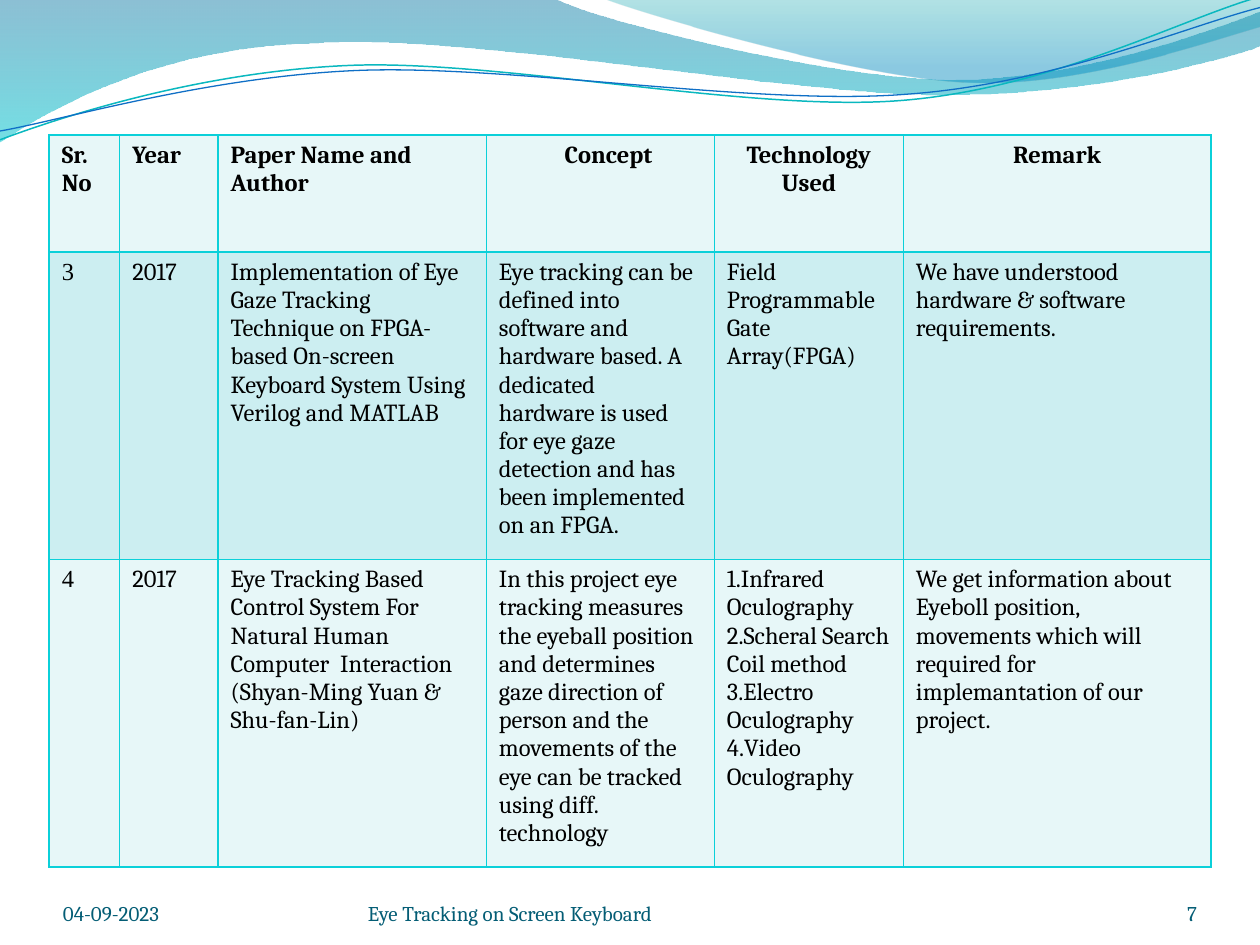
from lxml import etree
from pptx import Presentation
from pptx.dml.color import RGBColor
from pptx.enum.text import MSO_ANCHOR as Anchor, PP_ALIGN as Align
from pptx.oxml.ns import qn
from pptx.util import Inches, Pt


def rgb(hex_code):
    return RGBColor.from_string(hex_code)


def draw_outline(slide, start, segments, closed):
    """Draw line segments (2 numbers) and cubic curves (6 numbers), in inches."""
    builder = slide.shapes.build_freeform(Inches(start[0]), Inches(start[1]))
    ends = [(Inches(segment[-2]), Inches(segment[-1])) for segment in segments]
    builder.add_line_segments(ends, close=closed)
    outline = builder.convert_to_shape()
    outline.shadow.inherit = False
    # Bend the straight segments that have control points
    straight_parts = list(outline._element.spPr.iter(qn("a:lnTo")))
    for part, segment in zip(straight_parts, segments):
        if len(segment) == 6:
            curve = etree.Element(qn("a:cubicBezTo"))
            for x, y in zip(segment[::2], segment[1::2]):
                etree.SubElement(curve, qn("a:pt"), x=str(Inches(x) - outline.left),
                                 y=str(Inches(y) - outline.top))
            part.getparent().replace(part, curve)
    return outline


prs = Presentation()
prs.slide_width, prs.slide_height = Inches(10), Inches(7.5)
slide = prs.slides.add_slide(prs.slide_layouts[6])

# Translucent waves: start, segments, gradient stops (position, colour, opacity %)
waves = [
    ((0, 0),
     [(4.4, -0.01), (4.76, 0.17, 6.64, 0.63, 7.58, 0.63),
      (8.53, 0.63, 9.58, 0.26, 10, 0.09), (10.01, 0.36),
      (9.83, 0.44, 8.7, 0.76, 7.46, 0.75), (6.22, 0.75, 3.82, 0.28, 2.57, 0.34),
      (1.29, 0.36, 0.46, 0.83, -0.01, 1.13)],
     [(0, "0074A1", 45), (1, "00C6CF", 55)]),
    ((4.79, -0.01),
     [(5.09, 0.11, 6.82, 0.62, 7.69, 0.65), (8.56, 0.69, 9.61, 0.32, 10, 0.21),
      (10, 0)],
     [(0, "00A1A9", 30), (0.8, "008BBF", 45)]),
]
for start, segments, stops in waves:
    wave = draw_outline(slide, start, segments, True)
    wave.line.fill.background()
    wave.fill.gradient()
    wave.fill.gradient_angle = 270
    for stop, (position, color, _) in zip(wave.fill.gradient_stops, stops):
        stop.position = position
        stop.color.rgb = rgb(color)
    for color_node, (_, _, opacity) in zip(wave._element.spPr.iter(qn("a:srgbClr")), stops):
        etree.SubElement(color_node, qn("a:alpha")).set("val", str(opacity * 1000))

# Thin wave lines
wave_lines = [
    ((0, 1.11),
     [(0.48, 0.93, 1.58, 0.57, 2.77, 0.52), (3.95, 0.47, 5.93, 0.89, 7.13, 0.8),
      (8.33, 0.71, 9.38, 0.15, 9.98, -0.02)], "0AB8BF", 0.85),
    ((0, 1.04),
     [(0.47, 0.96, 1.64, 0.61, 2.83, 0.56), (4.03, 0.51, 5.97, 0.84, 7.17, 0.75),
      (8.36, 0.67, 9.41, 0.21, 10, 0.06)], "0F6FC6", 0.75),
]
for start, segments, color, weight in wave_lines:
    wave_line = draw_outline(slide, start, segments, False)
    wave_line.fill.background()
    wave_line.line.color.rgb = rgb(color)
    wave_line.line.width = Pt(weight)

# Literature table: each cell is a list of paragraphs
papers = [
    [["Sr. No"], ["Year"], ["Paper Name and Author"], ["Concept"],
     ["Technology Used"], ["Remark"]],
    [["3"], ["2017"],
     ["Implementation of Eye Gaze Tracking Technique on FPGA-based On-screen "
      "Keyboard System Using Verilog and MATLAB"],
     ["Eye tracking can be defined into software and hardware based. A dedicated  "
      "hardware is used  for eye gaze detection and has been implemented on an FPGA."],
     ["Field Programmable Gate Array(FPGA)"],
     ["We have understood hardware & software requirements."]],
    [["4"], ["2017"],
     ["Eye Tracking Based Control System For Natural Human Computer  Interaction",
      "(Shyan-Ming Yuan & Shu-fan-Lin)"],
     ["In this project eye tracking measures the eyeball position and determines "
      "gaze direction of person and the movements of the eye can be tracked using "
      "diff. technology"],
     ["1.Infrared Oculography", "2.Scheral Search Coil method",
      "3.Electro Oculography", "4.Video Oculography"],
     ["We get information about Eyeboll position, movements which will required "
      "for implemantation of our project."]],
]
column_widths = [0.56, 0.78, 2.13, 1.81, 1.5, 2.44]
row_heights = [0.93, 2.44, 2.44]
table = slide.shapes.add_table(
    len(papers), len(column_widths), Inches(0.39), Inches(1.07),
    Inches(sum(column_widths)), Inches(sum(row_heights))).table
table.first_row = table.horz_banding = False
for column, width in zip(table.columns, column_widths):
    column.width = Inches(width)

for r, (paper, height) in enumerate(zip(papers, row_heights)):
    table.rows[r].height = Inches(height)
    for c, paragraphs in enumerate(paper):
        cell = table.cell(r, c)
        borders = cell._tc.get_or_add_tcPr()
        for side in ("a:lnL", "a:lnR", "a:lnT", "a:lnB"):
            border = etree.SubElement(borders, qn(side), w=str(Pt(1)))
            border_fill = etree.SubElement(border, qn("a:solidFill"))
            etree.SubElement(border_fill, qn("a:srgbClr"), val="0BD0D9")
        cell.fill.solid()
        cell.fill.fore_color.rgb = rgb("CCEEF1" if r == 1 else "E7F7F8")
        for i, words in enumerate(paragraphs):
            frame = cell.text_frame
            paragraph = frame.paragraphs[0] if i == 0 else frame.add_paragraph()
            if r == 0 and c >= 3:
                paragraph.alignment = Align.CENTER
            run = paragraph.add_run()
            run.text = words
            run.font.size = Pt(14)
            run.font.name = "Times New Roman" if r > 0 and c == 0 else "Cambria"
            run.font.bold = r == 0
            run.font.color.rgb = rgb("000000")
# The Concept heading sits slightly right of centre
table.cell(0, 3).margin_left = Inches(0.23)

# Footer: date, page number, title
footers = [
    (0.5, 2.33, "04-09-2023", Align.LEFT),
    (8.67, 0.83, "7", Align.RIGHT),
    (2.92, 3.67, "Eye Tracking on Screen Keyboard", Align.LEFT),
]
for left, width, words, alignment in footers:
    footer = slide.shapes.add_textbox(
        Inches(left), Inches(6.95), Inches(width), Inches(0.4)).text_frame
    footer.word_wrap = True
    footer.vertical_anchor = Anchor.BOTTOM
    footer.margin_left = footer.margin_right = footer.margin_top = footer.margin_bottom = 0
    footer.paragraphs[0].alignment = alignment
    run = footer.paragraphs[0].add_run()
    run.text = words
    run.font.size = Pt(12)
    run.font.name = "Cambria"
    run.font.color.rgb = rgb("045D75")

prs.save("out.pptx")
